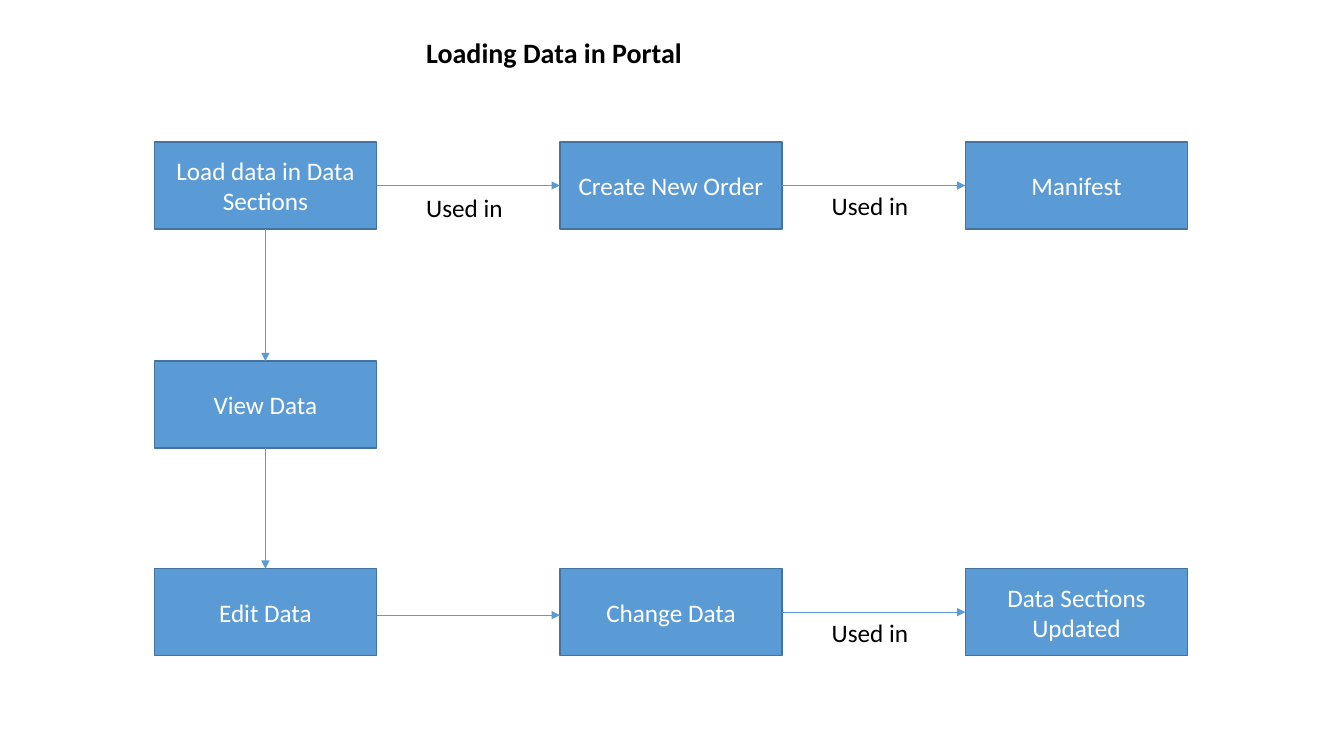
from dataclasses import dataclass

from lxml.etree import SubElement
from pptx import Presentation
from pptx.dml.color import RGBColor
from pptx.enum.shapes import MSO_CONNECTOR as Connector, MSO_SHAPE as Preset
from pptx.enum.text import MSO_ANCHOR as Anchor, MSO_AUTO_SIZE as AutoSize, PP_ALIGN as Align
from pptx.oxml.ns import qn
from pptx.util import Cm, Pt


@dataclass(frozen=True)
class Theme:
    font: str = "Calibri"
    fill: RGBColor = RGBColor(0x5B, 0x9B, 0xD5)
    border: RGBColor = RGBColor(0x43, 0x73, 0x9E)
    light: RGBColor = RGBColor(0xFF, 0xFF, 0xFF)
    dark: RGBColor = RGBColor(0, 0, 0)
    body: Pt = Pt(18)
    title: Pt = Pt(20)
    border_width: Pt = Pt(1)
    arrow_width: Pt = Pt(0.5)


class FlowSlide:
    """Draws flowchart elements on one slide in a shared style."""

    def __init__(self, slide, theme):
        self.slide = slide
        self.theme = theme

    def add_text(self, paragraph, text, size, color, bold=False):
        run = paragraph.add_run()
        run.text = text
        run.font.name = self.theme.font
        run.font.size = size
        run.font.bold = bold
        run.font.color.rgb = color

    def box(self, text, left, top, width, height):
        shape = self.slide.shapes.add_shape(
            Preset.RECTANGLE, Cm(left), Cm(top), Cm(width), Cm(height))
        shape.shadow.inherit = False
        shape.fill.solid()
        shape.fill.fore_color.rgb = self.theme.fill
        shape.line.color.rgb = self.theme.border
        shape.line.width = self.theme.border_width
        shape.text_frame.word_wrap = True
        shape.text_frame.vertical_anchor = Anchor.MIDDLE
        paragraph = shape.text_frame.paragraphs[0]
        paragraph.alignment = Align.CENTER
        self.add_text(paragraph, text, self.theme.body, self.theme.light)
        return shape

    def label(self, text, left, top, width, height, size=None, bold=False):
        shape = self.slide.shapes.add_textbox(Cm(left), Cm(top), Cm(width), Cm(height))
        shape.text_frame.word_wrap = True
        shape.text_frame.auto_size = AutoSize.SHAPE_TO_FIT_TEXT
        self.add_text(shape.text_frame.paragraphs[0], text,
                      size or self.theme.body, self.theme.dark, bold)

    def arrow(self, start_x, start_y, end_x, end_y):
        connector = self.slide.shapes.add_connector(
            Connector.STRAIGHT, Cm(start_x), Cm(start_y), Cm(end_x), Cm(end_y))
        connector.line.color.rgb = self.theme.fill
        connector.line.width = self.theme.arrow_width
        properties = connector.element.spPr
        SubElement(properties.find(qn("a:ln")), qn("a:tailEnd"), type="triangle")
        SubElement(properties, qn("a:effectLst"))
        return connector

    def link(self, source, source_site, target, target_site):
        connector = self.arrow(0, 0, 0, 0)
        connector.begin_connect(source, source_site)
        connector.end_connect(target, target_site)


TOP_SITE, LEFT_SITE, BOTTOM_SITE, RIGHT_SITE = range(4)
BOX_WIDTH, BOX_HEIGHT = 5.6, 2.19
COLUMNS = [3.89 + 10.22 * column for column in range(3)]
ROWS = [3.58, 9.1, 14.33]
LABEL_GAP = 1
STEPS = {
    (0, 0): "Load data in Data Sections",
    (0, 1): "Create New Order",
    (0, 2): "Manifest",
    (1, 0): "View Data",
    (2, 0): "Edit Data",
    (2, 1): "Change Data",
    (2, 2): "Data Sections Updated",
}
ACROSS = [((0, 0), (0, 1)), ((0, 1), (0, 2)), ((2, 1), (2, 2))]
DOWN = [((0, 0), (1, 0)), ((1, 0), (2, 0))]
USED_IN = [(0, 4.72), (1, 4.67), (1, 15.42)]
EDIT_ARROW_Y = 15.5

presentation = Presentation()
presentation.slide_width, presentation.slide_height = Cm(33.87), Cm(19.05)
theme = Theme()
flow = FlowSlide(presentation.slides.add_slide(presentation.slide_layouts[6]), theme)

label_lefts = [left + BOX_WIDTH + LABEL_GAP for left in COLUMNS]
flow.label("Loading Data in Portal", label_lefts[0], 0.76, 12.83, 1.12, theme.title, bold=True)

boxes = {
    (row, column): flow.box(text, COLUMNS[column], ROWS[row], BOX_WIDTH, BOX_HEIGHT)
    for (row, column), text in STEPS.items()
}
for source, target in ACROSS:
    flow.link(boxes[source], RIGHT_SITE, boxes[target], LEFT_SITE)
for source, target in DOWN:
    flow.link(boxes[source], BOTTOM_SITE, boxes[target], TOP_SITE)
flow.arrow(COLUMNS[0] + BOX_WIDTH, EDIT_ARROW_Y, COLUMNS[1], EDIT_ARROW_Y)

for column, top in USED_IN:
    flow.label("Used in", label_lefts[column], top, 2.62, 1.02)

presentation.save("out.pptx")
